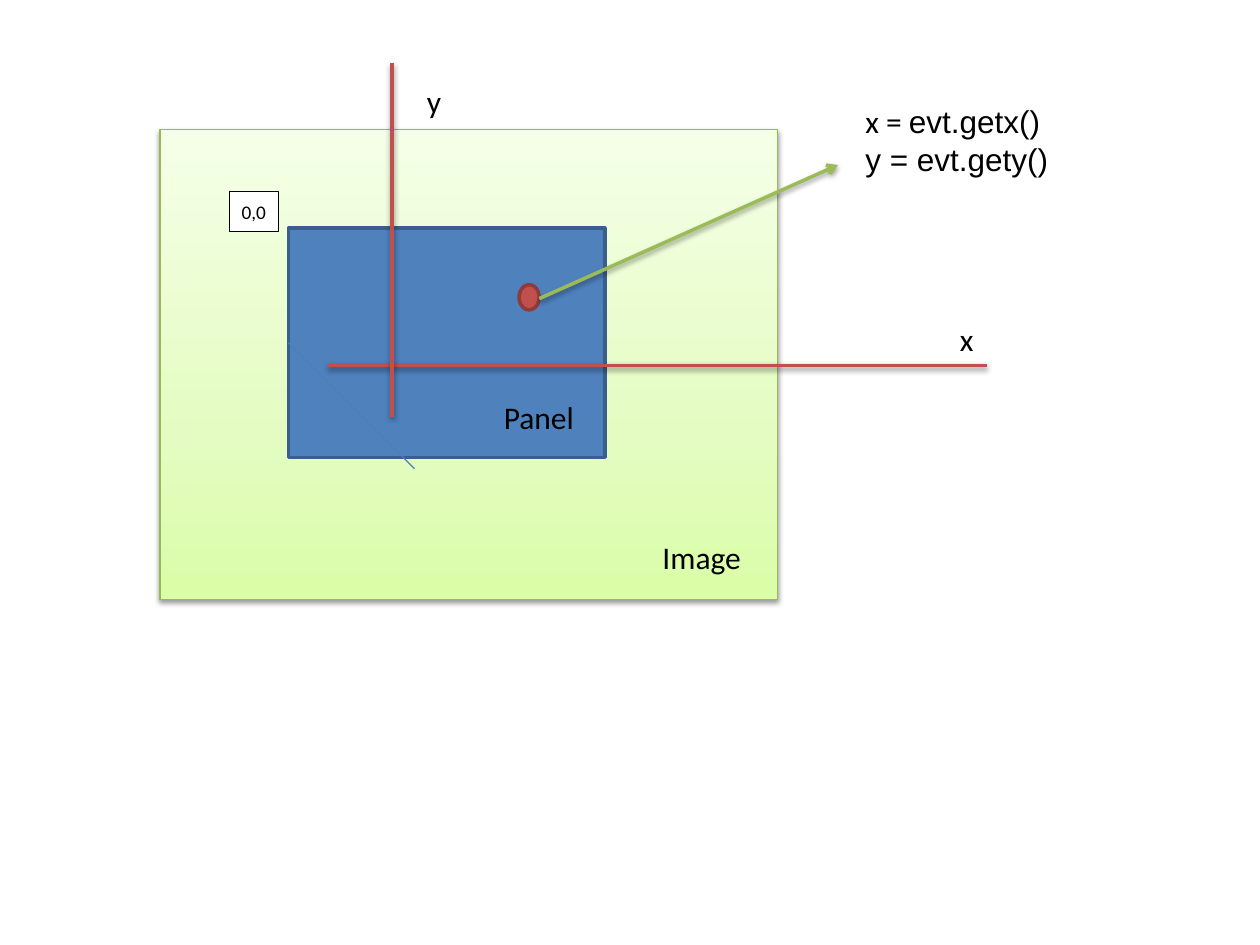
import copy
from dataclasses import dataclass

import pptx
import pptx.dml.color
import pptx.enum.shapes
import pptx.enum.text
import pptx.oxml
import pptx.oxml.ns
import pptx.util

Inches = pptx.util.Inches
Pt = pptx.util.Pt
Kind = pptx.enum.shapes.MSO_SHAPE
qn = pptx.oxml.ns.qn
SPACE = pptx.oxml.ns.nsdecls("a")
SHADE = (
    f'<a:effectLst {SPACE}><a:outerShdw blurRad="39370" dist="20320" dir="5400000" '
    'rotWithShape="0"><a:srgbClr val="000000"><a:alpha val="38000"/></a:srgbClr>'
    "</a:outerShdw></a:effectLst>"
)
PLAIN = f"<a:effectLst {SPACE}/>"
BLACK = "000000"


@dataclass
class Box:
    kind: Kind
    left: float
    top: float
    width: float
    height: float
    fill: str
    edge: str
    weight: float


@dataclass
class Line:
    start: tuple[float, float]
    end: tuple[float, float]
    hue: str
    weight: float = 2
    shade: bool = True
    arrow: bool = False


@dataclass
class Label:
    left: float
    top: float
    width: float
    height: float
    rows: list[list[tuple[str, str]]]


IMAGE = Box(Kind.RECTANGLE, 1.27, 1.03, 4.9, 3.73, "E4FCC2", "98B955", 0.75)
PANEL = Box(Kind.RECTANGLE, 2.29, 1.81, 2.51, 1.82, "4F81BD", "3A5F8C", 2)
ORIGIN = Box(Kind.RECTANGLE, 1.82, 1.52, 0.39, 0.32, "FFFFFF", BLACK, 0.5)
POINT = Box(Kind.OVAL, 4.12, 2.26, 0.16, 0.2, "C0504D", "8E3B39", 2)
FADE = [(0, "DAFDA7"), (0.35, "E4FCC2"), (1, "F5FFE7")]

SLANT = Line((2.29, 2.72), (3.29, 3.72), "4B7EBC", 0.75, shade=False)
AXES = [
    Line((7.83, 2.9), (2.6, 2.9), "C0504D"),
    Line((3.11, 0.5), (3.11, 3.31), "C0504D"),
]
EVENT = Line((4.28, 2.37), (6.65, 1.31), "9BBB59", arrow=True)

LABELS = [
    Label(5.16, 4.22, 0.83, 0.4, [[("Image", "Calibri")]]),
    Label(3.9, 3.11, 0.76, 0.4, [[("Panel", "Calibri")]]),
    Label(7.52, 2.49, 0.31, 0.4, [[("x", "Calibri")]]),
    Label(3.29, 0.6, 0.32, 0.4, [[("y", "Calibri")]]),
    Label(6.77, 0.76, 1.74, 0.71, [
        [("x = ", "Calibri"), ("evt.getx()", "Arial")],
        [("y = evt.gety()", "Arial")],
    ]),
]


def tint(code: str) -> pptx.dml.color.RGBColor:
    return pptx.dml.color.RGBColor.from_string(code)


def style(run, size: float, face: str) -> None:
    run.font.size = Pt(size)
    run.font.name = face
    run.font.color.rgb = tint(BLACK)


def cast(shape) -> None:
    props = shape._element.spPr
    old = props.find(qn("a:effectLst"))
    if old is not None:
        props.remove(old)
    props.append(pptx.oxml.parse_xml(SHADE))


def add_box(slide, box: Box):
    shape = slide.shapes.add_shape(
        box.kind, Inches(box.left), Inches(box.top), Inches(box.width), Inches(box.height)
    )
    shape.shadow.inherit = False
    shape.fill.solid()
    shape.fill.fore_color.rgb = tint(box.fill)
    shape.line.color.rgb = tint(box.edge)
    shape.line.width = Pt(box.weight)
    return shape


def blend(shape, stops: list[tuple[float, str]]) -> None:
    shape.fill.gradient()
    shape.fill.gradient_angle = 90
    group = next(shape._element.spPr.iter(qn("a:gsLst")))
    group.append(copy.deepcopy(group[0]))
    for stop, (place, hue) in zip(shape.fill.gradient_stops, stops):
        stop.position = place
        stop.color.rgb = tint(hue)


def add_line(slide, line: Line):
    link = slide.shapes.add_connector(
        pptx.enum.shapes.MSO_CONNECTOR.STRAIGHT,
        *map(Inches, line.start), *map(Inches, line.end)
    )
    link.line.color.rgb = tint(line.hue)
    link.line.width = Pt(line.weight)
    if line.arrow:
        tip = pptx.oxml.parse_xml(f'<a:tailEnd {SPACE} type="arrow"/>')
        link.line._get_or_add_ln().append(tip)
    if line.shade:
        cast(link)
    else:
        link._element.spPr.append(pptx.oxml.parse_xml(PLAIN))
    return link


def add_label(slide, label: Label) -> None:
    frame = slide.shapes.add_textbox(
        Inches(label.left), Inches(label.top), Inches(label.width), Inches(label.height)
    ).text_frame
    frame.word_wrap = False
    frame.auto_size = pptx.enum.text.MSO_AUTO_SIZE.SHAPE_TO_FIT_TEXT
    for spot, row in enumerate(label.rows):
        para = frame.add_paragraph() if spot else frame.paragraphs[0]
        for words, face in row:
            run = para.add_run()
            run.text = words
            style(run, 18, face)


def main() -> None:
    deck = pptx.Presentation()
    deck.slide_width = Inches(10)
    deck.slide_height = Inches(7.5)
    slide = deck.slides.add_slide(deck.slide_layouts[6])

    image = add_box(slide, IMAGE)
    blend(image, FADE)
    cast(image)
    panel = add_box(slide, PANEL)
    frame = add_box(slide, ORIGIN).text_frame
    frame.text = "0,0"
    frame.word_wrap = False
    frame.vertical_anchor = pptx.enum.text.MSO_ANCHOR.MIDDLE
    frame.paragraphs[0].alignment = pptx.enum.text.PP_ALIGN.CENTER
    style(frame.paragraphs[0].runs[0], 11, "Calibri")

    add_line(slide, SLANT).begin_connect(panel, 1)
    for axis in AXES:
        add_line(slide, axis)
    for label in LABELS:
        add_label(slide, label)
    add_box(slide, POINT)
    add_line(slide, EVENT)
    deck.save("out.pptx")


if __name__ == "__main__":
    main()
